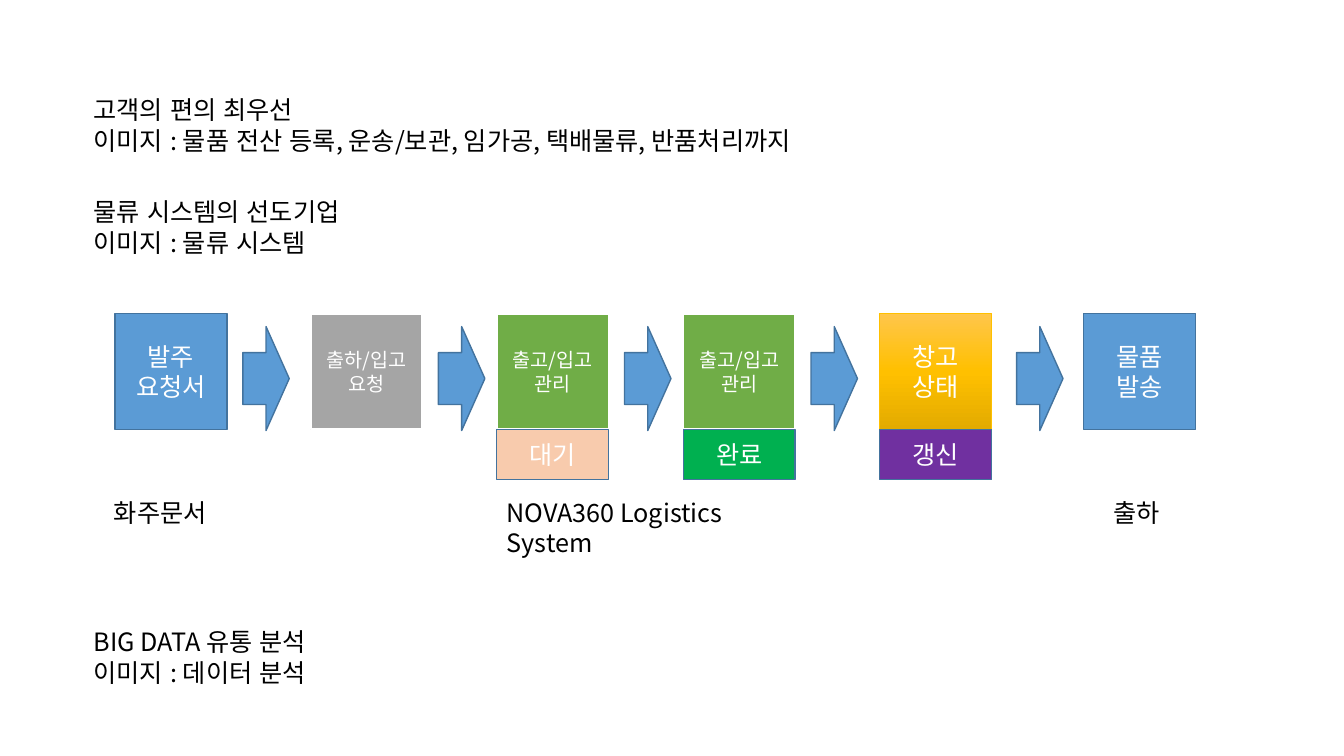
from copy import deepcopy

from lxml.etree import SubElement
from pptx import Presentation
from pptx.dml.color import RGBColor
from pptx.enum.lang import MSO_LANGUAGE_ID
from pptx.enum.shapes import MSO_SHAPE
from pptx.enum.text import MSO_ANCHOR, PP_ALIGN
from pptx.oxml.ns import qn
from pptx.util import Cm, Pt

FONT = "Noto Sans CJK KR"
COLORS = {
    "black": "000000", "white": "FFFFFF", "blue": "5B9BD5", "navy": "43739E",
    "gray": "A5A5A5", "green": "70AD47", "peach": "F8CBAD", "emerald": "00B050",
    "purple": "7030A0", "gold": "FFC000", "light gold": "FFC64B", "dark gold": "E3AB00",
}
GOLD_GRADIENT = [(0, "light gold"), (0.5, "gold"), (1, "dark gold")]

# Flow sizes in centimetres
STEP_WIDTH, STEP_HEIGHT, STATUS_HEIGHT = 2.82, 2.92, 1.27
ARROW_WIDTH, ARROW_HEIGHT, ARROW_DROP = 1.17, 2.62, 0.33
LABEL_DROP, LABEL_HEIGHT = 4.5, 1.02

# Section headings: top, lines
HEADINGS = [
    (2.26, ["고객의 편의 최우선",
            "이미지 : 물품 전산 등록, 운송/보관, 임가공, 택배물류, 반품처리까지"]),
    (4.83, ["물류 시스템의 선도기업", "이미지 : 물류 시스템"]),
    (15.67, ["BIG DATA 유통 분석", "이미지 : 데이터 분석"]),
]

OUTLINED = {"line": "navy", "line_width": 1, "size": 18}
PLAIN = {"line": "white", "line_width": 1.5, "size": 14}
GOLD = {"line": "gold", "line_width": 0.5, "size": 18}

# Steps: offset, lines, fill, format, status (text, fill), gap before the next arrow
STEPS = [
    (0, ["발주", "요청서"], "blue", OUTLINED, None, 0.4),
    (4.93, ["출하/입고", "요청"], "gray", PLAIN, None, 0.4),
    (9.62, ["출고/입고", "관리"], "green", PLAIN, ("대기", "peach"), 0.4),
    (14.32, ["출고/입고", "관리"], "green", PLAIN, ("완료", "emerald"), 0.4),
    (19.27, ["창고", "상태"], GOLD_GRADIENT, GOLD, ("갱신", "purple"), 0.63),
    (24.41, ["물품", "발송"], "blue", OUTLINED, None, None),
]

# Labels under the flow: offset, width, text
LABELS = [
    (-0.28, 3.07, "화주문서"),
    (9.62, 8.05, "NOVA360 Logistics System"),
    (24.91, 1.8, "출하"),
]


def rgb(name):
    return RGBColor.from_string(COLORS[name])


def write_lines(frame, lines, size, color, alignment):
    for index, line in enumerate(lines):
        paragraph = frame.paragraphs[0] if index == 0 else frame.add_paragraph()
        paragraph.alignment = alignment
        run = paragraph.add_run()
        run.text = line
        settings = {"name": FONT, "size": Pt(size), "language_id": MSO_LANGUAGE_ID.KOREAN}
        for attribute, value in settings.items():
            setattr(run.font, attribute, value)
        run.font.color.rgb = rgb(color)
        SubElement(run.font._element, qn("a:ea"), typeface=FONT)


def fill_gradient(shape, stops):
    shape.fill.gradient()
    shape.fill.gradient_angle = 270
    stop_list = shape.fill._xPr.find(qn("a:gradFill")).find(qn("a:gsLst"))
    stop_list.append(deepcopy(stop_list[0]))
    for stop, (position, color) in zip(shape.fill.gradient_stops, stops):
        stop.position = position
        stop.color.rgb = rgb(color)


def add_block(slide, kind, left, top, width, height, fill, formats, lines=()):
    shape = slide.shapes.add_shape(kind, Cm(left), Cm(top), Cm(width), Cm(height))
    shape.shadow.inherit = False
    if isinstance(fill, list):
        fill_gradient(shape, fill)
    else:
        shape.fill.solid()
        shape.fill.fore_color.rgb = rgb(fill)
    shape.line.color.rgb = rgb(formats["line"])
    shape.line.width = Pt(formats["line_width"])
    shape.text_frame.vertical_anchor = MSO_ANCHOR.MIDDLE
    write_lines(shape.text_frame, lines, formats["size"], "white", PP_ALIGN.CENTER)


def add_text(slide, left, top, width, height, lines):
    box = slide.shapes.add_textbox(Cm(left), Cm(top), Cm(width), Cm(height))
    box.text_frame.word_wrap = True
    write_lines(box.text_frame, lines, 18, "black", PP_ALIGN.LEFT)


def add_headings(slide, left, width, height):
    for top, lines in HEADINGS:
        add_text(slide, left, top, width, height, lines)


def add_flow(slide, left, top):
    for offset, lines, fill, formats, status, gap in STEPS:
        step_left = left + offset
        add_block(slide, MSO_SHAPE.RECTANGLE, step_left, top,
                  STEP_WIDTH, STEP_HEIGHT, fill, formats, lines)
        # Status under the step
        if status:
            text, status_fill = status
            add_block(slide, MSO_SHAPE.RECTANGLE, step_left, top + STEP_HEIGHT,
                      STEP_WIDTH, STATUS_HEIGHT, status_fill, OUTLINED, [text])
        # Arrow to the next step
        if gap:
            add_block(slide, MSO_SHAPE.RIGHT_ARROW, step_left + STEP_WIDTH + gap,
                      top + ARROW_DROP, ARROW_WIDTH, ARROW_HEIGHT, "blue", OUTLINED)


def add_labels(slide, left, top):
    for offset, width, text in LABELS:
        add_text(slide, left + offset, top, width, LABEL_HEIGHT, [text])


def main():
    presentation = Presentation()
    presentation.slide_width, presentation.slide_height = Cm(33.87), Cm(19.05)
    slide = presentation.slides.add_slide(presentation.slide_layouts[6])
    flow_left, flow_top = 2.9, 7.9
    add_headings(slide, 2.11, 23.9, 1.8)
    add_flow(slide, flow_left, flow_top)
    add_labels(slide, flow_left, flow_top + LABEL_DROP)
    presentation.save("out.pptx")


if __name__ == "__main__":
    main()
